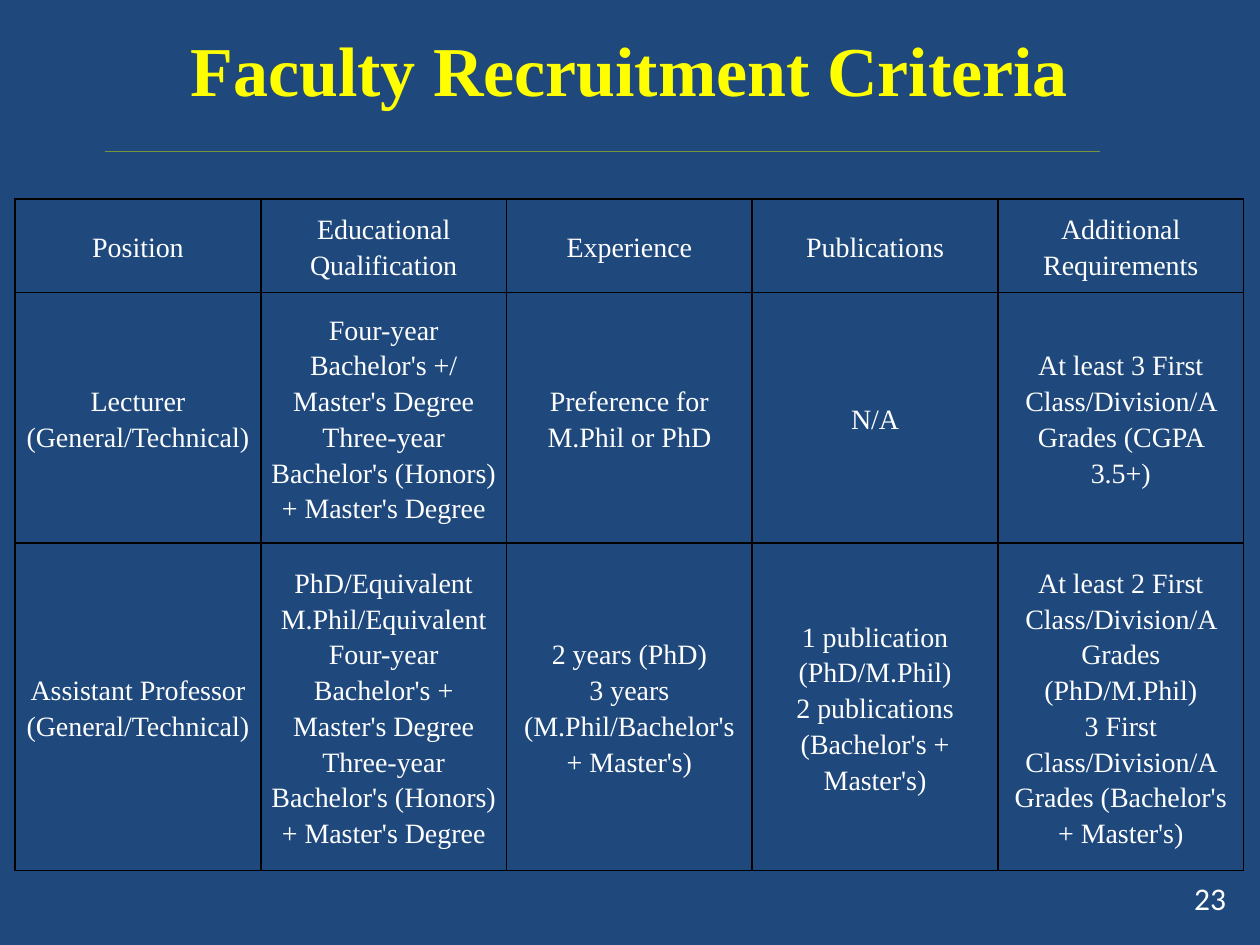
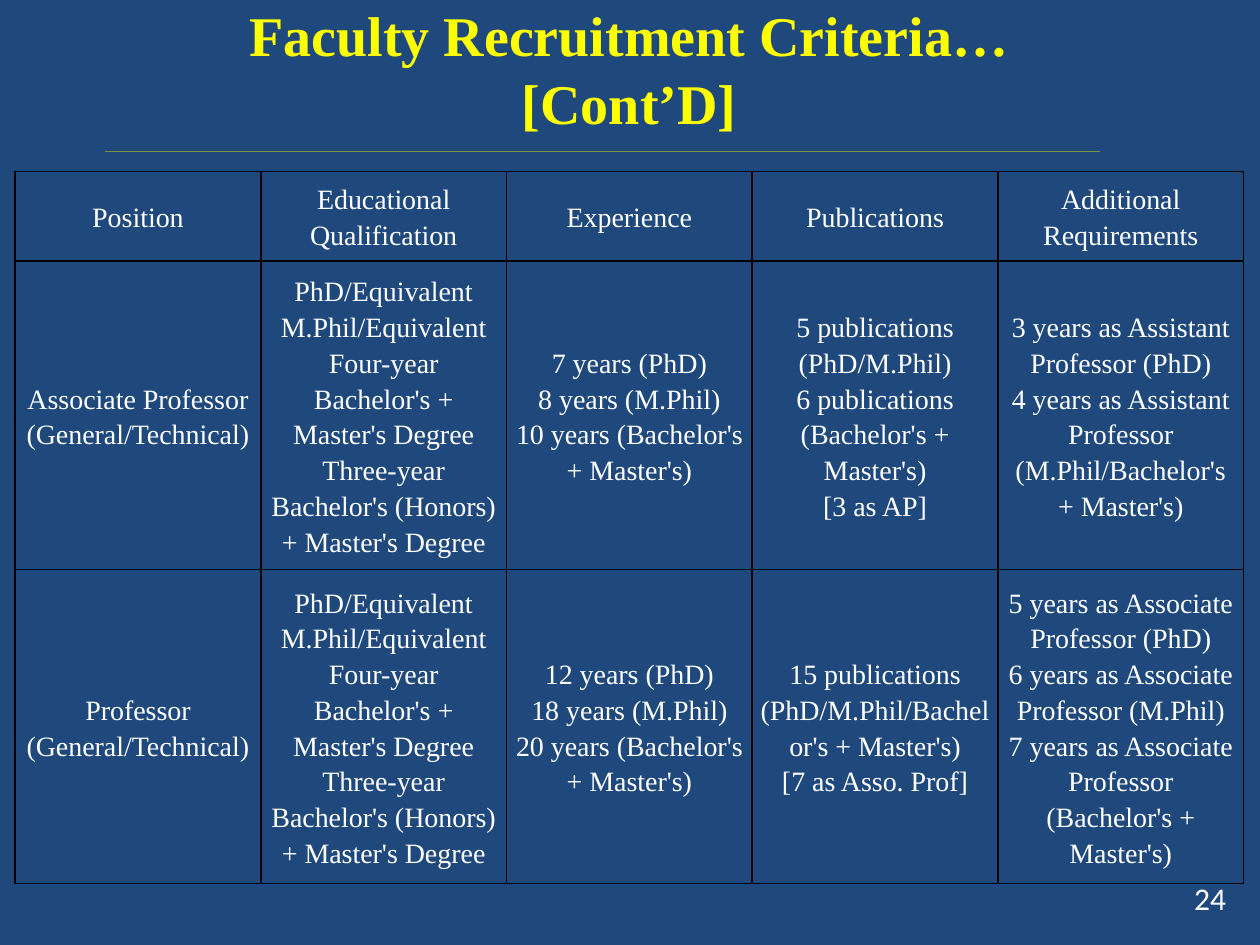
from copy import deepcopy

from lxml.etree import SubElement
from pptx import Presentation
from pptx.dml.color import RGBColor
from pptx.enum.shapes import MSO_CONNECTOR
from pptx.enum.text import MSO_ANCHOR, PP_ALIGN
from pptx.oxml.ns import qn
from pptx.util import Inches, Pt

NAVY, YELLOW, WHITE, GREEN, BLACK = "1F497D", "FFFF00", "FFFFFF", "77933C", "000000"
SERIF, SANS = "Times New Roman", "Calibri"
COLUMN_WIDTH = 1.95

HEADINGS = ["Position", "Educational Qualification", "Experience",
            "Publications", "Additional Requirements"]
# "\v" breaks a line, "\n" starts a paragraph.
THREE_YEAR = "Three-year Bachelor's (Honors) + Master's Degree"
DOCTORATE_OR_LESS = ("PhD/Equivalent\vM.Phil/Equivalent\v"
                     "Four-year Bachelor's + Master's Degree\v" + THREE_YEAR)

JUNIOR_POSTS = [
    ["Lecturer (General/Technical)",
     "Four-year Bachelor's +/ Master's Degree\v" + THREE_YEAR,
     "Preference for M.Phil or PhD",
     "N/A",
     "At least 3 First Class/Division/A Grades (CGPA 3.5+)"],
    ["Assistant Professor (General/Technical)",
     DOCTORATE_OR_LESS,
     "2 years (PhD)\v3 years (M.Phil/Bachelor's + Master's)",
     "1 publication (PhD/M.Phil)\v2 publications (Bachelor's + Master's)",
     "At least 2 First Class/Division/A Grades (PhD/M.Phil)\v"
     "3 First Class/Division/A Grades (Bachelor's + Master's)"],
]
SENIOR_POSTS = [
    ["Associate Professor (General/Technical)",
     DOCTORATE_OR_LESS,
     "7 years (PhD)\v8 years (M.Phil)\v10 years (Bachelor's + Master's)",
     "5 publications (PhD/M.Phil)\v6 publications (Bachelor's + Master's)\n[3 as AP]",
     "3 years as Assistant Professor (PhD)\v"
     "4 years as Assistant Professor (M.Phil/Bachelor's + Master's)"],
    ["Professor (General/Technical)",
     DOCTORATE_OR_LESS,
     "12 years (PhD)\v18 years (M.Phil)\v20 years (Bachelor's + Master's)",
     "15 publications (PhD/M.Phil/Bachelor's + Master's)\n[7 as Asso. Prof]",
     "5 years as Associate Professor (PhD)\v"
     "6 years as Associate Professor (M.Phil)\v"
     "7 years as Associate Professor (Bachelor's + Master's)"],
]


def color(hex_code):
    return RGBColor.from_string(hex_code)


def write(frame, text, size, font=SERIF, fill=WHITE, bold=False,
          align=PP_ALIGN.CENTER, spacing=None):
    """Fill a text frame, giving line breaks the same format as the words."""
    frame.word_wrap = True
    for number, content in enumerate(text.split("\n")):
        para = frame.add_paragraph() if number else frame.paragraphs[0]
        para.alignment = align
        para.line_spacing = spacing
        for position, line in enumerate(content.split("\v")):
            if position:
                para.add_line_break()
            span = para.add_run()
            span.text = line
            span.font.name = font
            span.font.size = Pt(size)
            span.font.bold = bold
            span.font.color.rgb = color(fill)
        for line_break in para._p.findall(qn("a:br")):
            line_break.append(deepcopy(span.font._element))


def add_text(page, left, top, width, height, text, **text_format):
    box = page.shapes.add_textbox(Inches(left), Inches(top), Inches(width), Inches(height))
    box.text_frame.vertical_anchor = MSO_ANCHOR.MIDDLE
    write(box.text_frame, text, **text_format)


def add_rule(page):
    rule = page.shapes.add_connector(MSO_CONNECTOR.STRAIGHT, Inches(0.83), Inches(1.2),
                                     Inches(8.73), Inches(1.2))
    rule.line.color.rgb = color(GREEN)
    rule.line.width = Pt(0.75)
    SubElement(rule._element.spPr, qn("a:effectLst"))


def add_borders(cell):
    properties = cell._tc.get_or_add_tcPr()
    for side in ("a:lnL", "a:lnR", "a:lnT", "a:lnB"):
        edge = SubElement(properties, qn(side), w=str(Pt(1)))
        SubElement(SubElement(edge, qn("a:solidFill")), qn("a:srgbClr"), val=BLACK)


def add_criteria_table(page, top, row_heights, posts, side_margin):
    rows = [HEADINGS] + posts
    frame = page.shapes.add_table(len(rows), len(HEADINGS), Inches(0.12), Inches(top),
                                  Inches(COLUMN_WIDTH * len(HEADINGS)),
                                  Inches(sum(row_heights)))
    table = frame.table
    table.first_row = table.horz_banding = False
    for column in table.columns:
        column.width = Inches(COLUMN_WIDTH)
    for row, height, texts in zip(table.rows, row_heights, rows):
        row.height = Inches(height)
        for cell, text in zip(row.cells, texts):
            cell.vertical_anchor = MSO_ANCHOR.MIDDLE
            cell.margin_left = cell.margin_right = Inches(side_margin)
            cell.margin_top = cell.margin_bottom = 0
            add_borders(cell)
            cell.fill.background()
            write(cell.text_frame, text, size=16, spacing=1.15)


def add_page(deck, title, title_size, number):
    """Add a page with the shared background, rule, number and title."""
    page = deck.slides.add_slide(deck.slide_layouts[6])
    page.background.fill.solid()
    page.background.fill.fore_color.rgb = color(NAVY)
    add_rule(page)
    add_text(page, 7.5, 6.93, 2.33, 0.4, str(number), size=18, font=SANS,
             align=PP_ALIGN.RIGHT)
    add_text(page, 1.08, 0.08, 7.83, 0.92, title, size=title_size, fill=YELLOW, bold=True)
    return page


def main():
    deck = Presentation()
    deck.slide_width, deck.slide_height = Inches(10), Inches(7.5)

    page = add_page(deck, "Faculty Recruitment Criteria", 40, 23)
    add_criteria_table(page, 1.58, [0.74, 1.99, 2.6], JUNIOR_POSTS, side_margin=0.07)

    page = add_page(deck, "Faculty Recruitment Criteria…[Cont’D]", 32, 24)
    add_criteria_table(page, 1.36, [0.71, 2.38, 2.49], SENIOR_POSTS, side_margin=0.06)

    deck.save("out.pptx")


if __name__ == "__main__":
    main()
